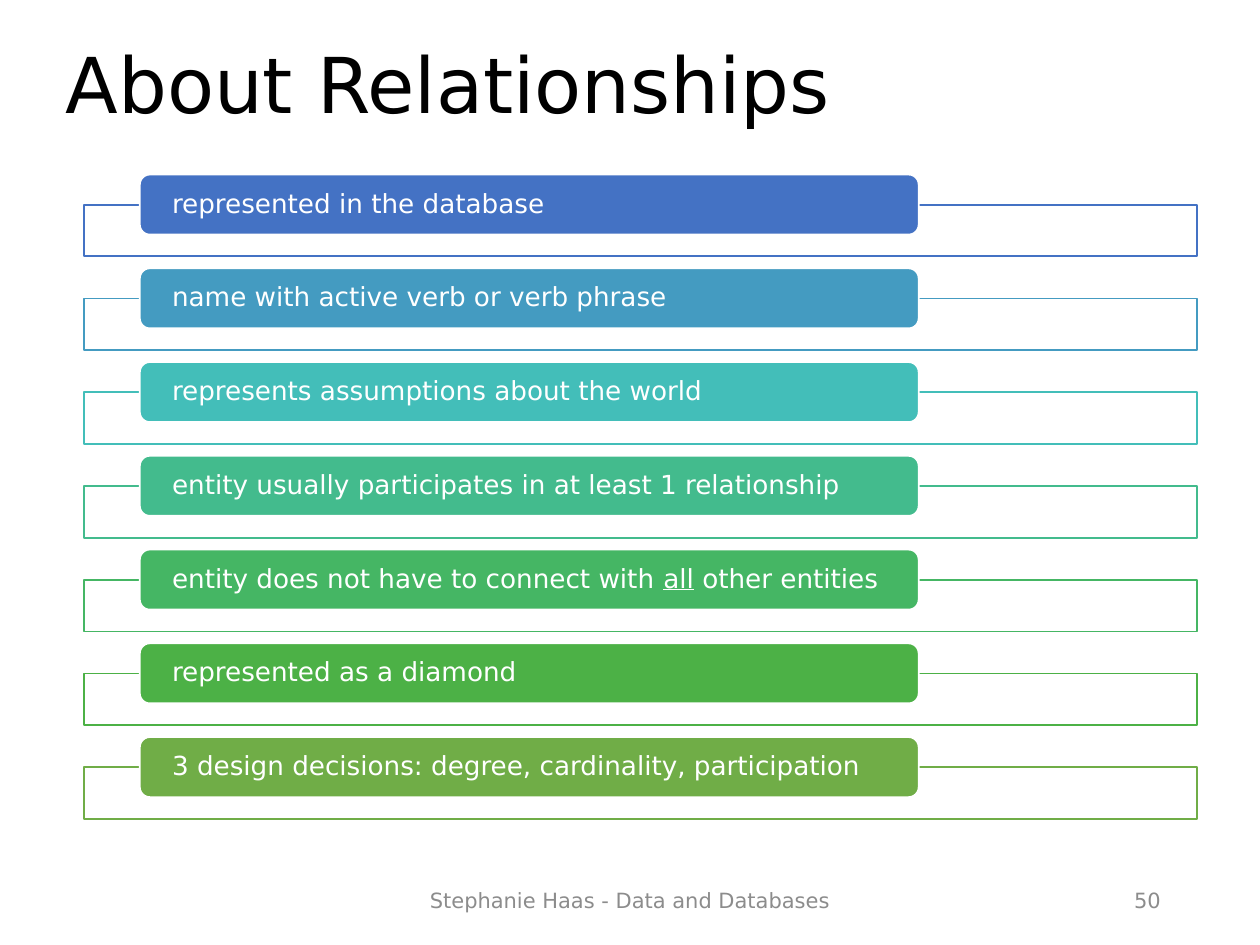
import dataclasses

import pptx
import pptx.util
from lxml import etree
from pptx.dml.color import RGBColor
from pptx.enum.shapes import MSO_SHAPE
from pptx.enum.text import MSO_ANCHOR, PP_ALIGN
from pptx.oxml.ns import qn
from pptx.util import Cm


@dataclasses.dataclass(frozen=True)
class Theme:
    font: str = "DejaVu Sans"
    white: str = "FFFFFF"
    title: str = "000000"
    footer: str = "8C8C8C"
    title_size: int = 44
    point_size: int = 15
    footer_size: int = 12
    line_width: int = 1


THEME = Theme()

# Each point: accent colour and its (text, underlined) runs
POINTS = [
    ("4472C4", [("represented in the database", False)]),
    ("449BC1", [("name with active verb or verb phrase", False)]),
    ("43BEB9", [("represents assumptions about the world", False)]),
    ("43BB8D", [("entity usually participates in at least 1 relationship", False)]),
    ("45B664", [("entity does not have to connect with ", False),
                ("all", True),
                (" other entities", False)]),
    ("4CB146", [("represented as a diamond", False)]),
    ("70AD47", [("3 design decisions: degree, cardinality, participation", False)]),
]
FIRST_LABEL_TOP = 3.52
POINT_PITCH = 1.89
FRAME_DROP = 0.61


def write_text(shape, runs, *, size, color, align=PP_ALIGN.LEFT,
               line_spacing=1.0, side_inset=0.25, edge_inset=0.13):
    """Fill a shape with one paragraph of (text, underlined) runs."""
    frame = shape.text_frame
    frame.word_wrap = True
    frame.vertical_anchor = MSO_ANCHOR.MIDDLE
    frame.margin_left = frame.margin_right = Cm(side_inset)
    frame.margin_top = frame.margin_bottom = Cm(edge_inset)
    paragraph = frame.paragraphs[0]
    paragraph.alignment = align
    paragraph.line_spacing = line_spacing
    for text, underlined in runs:
        run = paragraph.add_run()
        run.text = text
        run.font.name = THEME.font
        run.font.size = pptx.util.Pt(size)
        run.font.color.rgb = RGBColor.from_string(color)
        if underlined:
            run.font.underline = True


def add_panel(slide, preset, left, top, width, height, *, fill, line):
    panel = slide.shapes.add_shape(preset, Cm(left), Cm(top), Cm(width), Cm(height))
    panel.shadow.inherit = False
    panel.fill.solid()
    panel.fill.fore_color.rgb = RGBColor.from_string(fill)
    panel.line.color.rgb = RGBColor.from_string(line)
    panel.line.width = pptx.util.Pt(THEME.line_width)
    return panel


def set_opacity(panel, percent):
    color = panel.fill._xPr.find(qn("a:solidFill"))[0]
    etree.SubElement(color, qn("a:alpha")).set("val", str(percent * 1000))


def add_title(slide, text):
    title = slide.shapes.title
    title.left, title.top, title.width, title.height = Cm(1.07), Cm(0.84), Cm(22.86), Cm(1.9)
    write_text(title, [(text, False)], size=THEME.title_size, color=THEME.title,
               line_spacing=0.9)


def add_point(slide, label_top, accent, runs):
    """Add an outlined frame with a coloured label over its top edge."""
    frame = add_panel(slide, MSO_SHAPE.RECTANGLE, 1.7, label_top + FRAME_DROP, 22.43, 1.04,
                      fill=THEME.white, line=accent)
    set_opacity(frame, 90)
    label = add_panel(slide, MSO_SHAPE.ROUNDED_RECTANGLE, 2.82, label_top, 15.7, 1.21,
                      fill=accent, line=THEME.white)
    write_text(label, runs, size=THEME.point_size, color=THEME.white,
               line_spacing=0.9, side_inset=0.59, edge_inset=0)


def add_footer(slide, text, left, width, align):
    footer = slide.shapes.add_textbox(Cm(left), Cm(17.65), Cm(width), Cm(1.01))
    write_text(footer, [(text, False)], size=THEME.footer_size, color=THEME.footer, align=align)


def main():
    deck = pptx.Presentation()
    deck.slide_width, deck.slide_height = Cm(25.4), Cm(19.05)
    slide = deck.slides.add_slide(deck.slide_layouts.get_by_name("Title Only"))
    for index, (accent, runs) in enumerate(POINTS):
        add_point(slide, FIRST_LABEL_TOP + index * POINT_PITCH, accent, runs)
    add_title(slide, "About Relationships")
    add_footer(slide, "Stephanie Haas - Data and Databases", 8.41, 8.58, PP_ALIGN.CENTER)
    add_footer(slide, "50", 17.94, 5.71, PP_ALIGN.RIGHT)
    deck.save("out.pptx")


if __name__ == "__main__":
    main()
